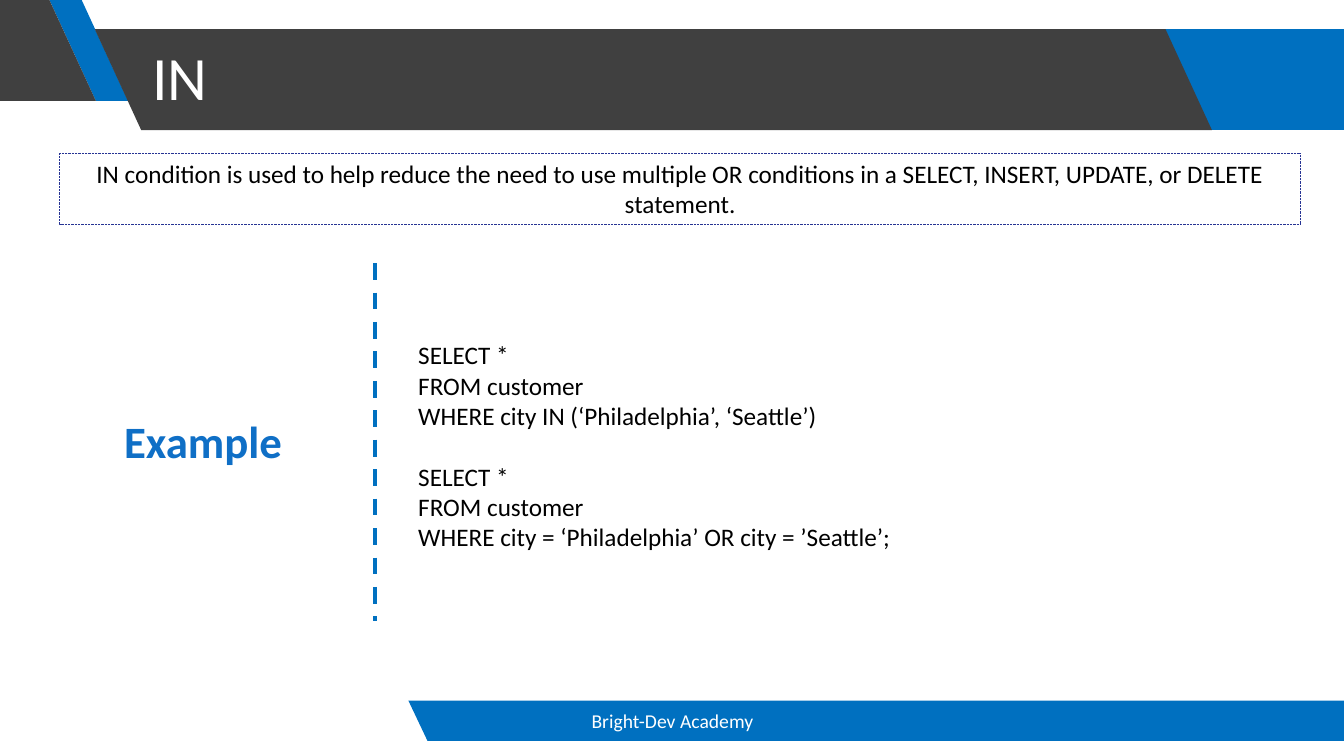
import pptx
import pptx.util
import pptx.dml.color
import pptx.enum.dml
import pptx.enum.shapes
import pptx.enum.text
import pptx.oxml.ns
import lxml.etree

Inches, Pt = pptx.util.Inches, pptx.util.Pt
ALIGN = pptx.enum.text.PP_ALIGN
ANCHOR = pptx.enum.text.MSO_ANCHOR
DASH = pptx.enum.dml.MSO_LINE

# Content
TITLE = ["IN"]
FOOTER = ["Bright-Dev Academy"]
DEFINITION = ["IN condition is used to help reduce the need to use multiple OR "
              "conditions in a SELECT, INSERT, UPDATE, or DELETE statement."]
LABEL = ["Example"]
QUERIES = [
    ["SELECT *", "FROM customer", "WHERE city IN (‘Philadelphia’, ‘Seattle’)"],
    ["SELECT *", "FROM customer", "WHERE city = ‘Philadelphia’ OR city = ’Seattle’;"],
]

# Look
COLORS = {"blue": "0070C0", "dark": "404040", "label": "0F6FC6",
          "frame": "263393", "white": "FFFFFF", "black": "000000"}
FORMATS = {
    "title": {"size": Pt(44), "color": "white"},
    "footer": {"size": Pt(14), "color": "white"},
    "body": {"size": Pt(18), "color": "black"},
    "label": {"size": Pt(32), "color": "label", "bold": True},
}

# Layout in inches
WIDTH, HEIGHT = 13.33, 7.5
SLANT, BAND_HEIGHT, BAND_TOP = 0.46, 1, 0.29
FOOTER_TOP, FOOTER_HEIGHT, FOOTER_SLANT = 6.95, 0.4, 0.19
DIVIDER_X = 3.72

# Bands: left, right, top, height, slant of left edge, slant of right edge, color
BANDS = [
    (10.68, WIDTH, BAND_TOP, BAND_HEIGHT, 0, 0, "blue"),
    (0.49, 0.81, 0, BAND_HEIGHT, SLANT, SLANT, "blue"),
    (0, 0.49, 0, BAND_HEIGHT, 0, SLANT, "dark"),
    (0.94, 11.56, BAND_TOP, BAND_HEIGHT, SLANT, SLANT, "dark"),
    (4.05, WIDTH, FOOTER_TOP, FOOTER_HEIGHT, FOOTER_SLANT, 0, "blue"),
]


def rgb(name):
    return pptx.dml.color.RGBColor.from_string(COLORS[name])


def add_band(shapes, left, right, top, height, left_slant, right_slant, color):
    bottom = top + height
    builder = shapes.build_freeform(Inches(left), Inches(top))
    corners = [(right, top), (right + right_slant, bottom), (left + left_slant, bottom)]
    builder.add_line_segments([(Inches(x), Inches(y)) for x, y in corners], close=True)
    band = builder.convert_to_shape()
    band.shadow.inherit = False
    band.fill.solid()
    band.fill.fore_color.rgb = rgb(color)
    band.line.fill.background()


def place(shape, left, top, width, height):
    for name, value in zip(("left", "top", "width", "height"), (left, top, width, height)):
        setattr(shape, name, Inches(value))


def write(shape, lines, style, align=ALIGN.LEFT, anchor=ANCHOR.TOP):
    frame = shape.text_frame
    frame.word_wrap = True
    frame.vertical_anchor = anchor
    frame.text = "\n".join(lines)
    for paragraph in frame.paragraphs:
        paragraph.alignment = align
        for run in paragraph.runs:
            run.font.name = "Calibri"
            for name, value in FORMATS[style].items():
                if name == "color":
                    run.font.color.rgb = rgb(value)
                else:
                    setattr(run.font, name, value)
    return frame


def add_text(shapes, box, *text):
    return write(shapes.add_textbox(*map(Inches, box)), *text)


def main():
    presentation = pptx.Presentation()
    presentation.slide_width = Inches(WIDTH)
    presentation.slide_height = Inches(HEIGHT)
    slide = presentation.slides.add_slide(presentation.slide_layouts[5])
    shapes = slide.shapes

    # Header and footer bands
    for band in BANDS:
        add_band(shapes, *band)

    # Title, brought in front of its band
    title = shapes.title
    place(title, 1.41, 0.07, 10.14, 1.45)
    frame = write(title, TITLE, "title", ALIGN.LEFT, ANCHOR.MIDDLE)
    frame.paragraphs[0].line_spacing = 0.9
    shapes.element.append(title.element)

    add_text(shapes, (4.42, FOOTER_TOP, 4.5, FOOTER_HEIGHT),
             FOOTER, "footer", ALIGN.CENTER, ANCHOR.MIDDLE)

    # Framed definition
    definition = shapes.add_shape(pptx.enum.shapes.MSO_SHAPE.RECTANGLE,
                                  *map(Inches, (0.59, 1.52, 12.31, 0.71)))
    definition.shadow.inherit = False
    definition.fill.background()
    definition.line.color.rgb = rgb("frame")
    definition.line.width = Pt(0.5)
    definition.line.dash_style = DASH.ROUND_DOT
    write(definition, DEFINITION, "body", ALIGN.CENTER)

    # Dashed divider
    divider = shapes.add_connector(pptx.enum.shapes.MSO_CONNECTOR.STRAIGHT,
                                   *map(Inches, (DIVIDER_X, 2.61, DIVIDER_X, 6.16)))
    divider.line.color.rgb = rgb("blue")
    divider.line.width = Pt(3)
    divider.line.dash_style = DASH.DASH
    lxml.etree.SubElement(divider.element.spPr, pptx.oxml.ns.qn("a:effectLst"))

    # Example label and queries, one line of space between queries
    add_text(shapes, (0.31, 4.06, DIVIDER_X - 0.31, 0.64), LABEL, "label", ALIGN.CENTER)
    frame = add_text(shapes, (4.05, 3.32, 8.26, 2.52), sum(QUERIES, []), "body")
    frame.paragraphs[len(QUERIES[0])].space_before = Pt(22)

    presentation.save("out.pptx")


if __name__ == "__main__":
    main()
